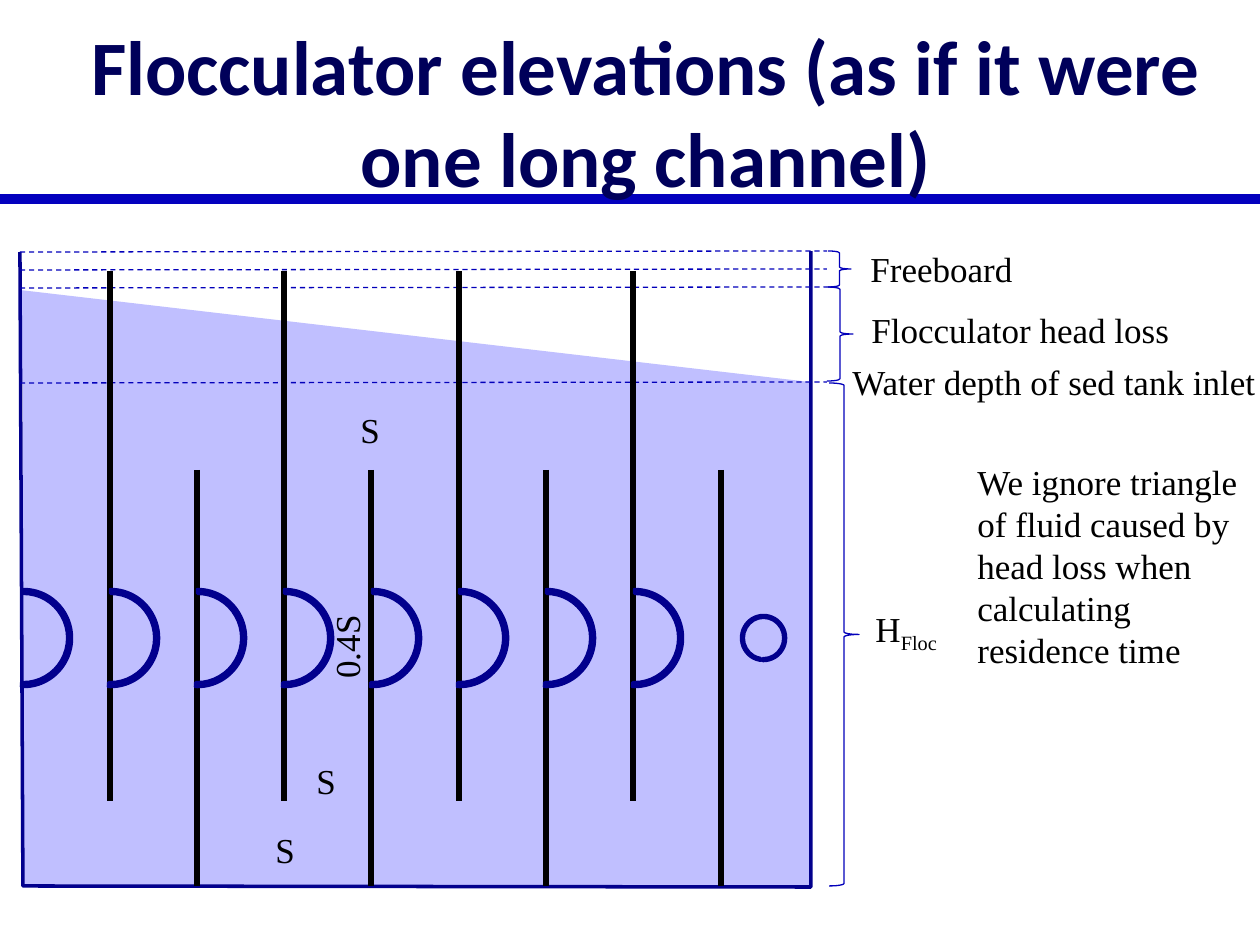
import pptx
import pptx.util
import pptx.dml.color
import pptx.enum.dml
import pptx.enum.shapes
import pptx.enum.text
import pptx.oxml
import pptx.oxml.ns

SCALE = 914400 / 126  # EMU in one px
THEME = {
    "title": "00005A", "text": "000000", "water": "C0BFFF", "wall": "02008D",
    "rule": "0300BE", "level": "0300BA", "baffle": "000000",
    "title_font": "Calibri", "text_font": "Times New Roman",
    "title_size": 44, "text_size": 20,
    "rule_width": 6, "baffle_width": 3, "wall_width": 2, "thin_width": 0.75,
}
KINDS = pptx.enum.shapes.MSO_SHAPE

deck = pptx.Presentation()
deck.slide_width, deck.slide_height = round(1260 * SCALE), round(945 * SCALE)
page = deck.slides.add_slide(deck.slide_layouts[5])


def add_line(start, end, color, width):
    points = [round(value * SCALE) for value in (*start, *end)]
    line = page.shapes.add_connector(pptx.enum.shapes.MSO_CONNECTOR.STRAIGHT, *points)
    line.line.color.rgb = pptx.dml.color.RGBColor.from_string(THEME[color])
    line.line.width = pptx.util.Pt(THEME[width])
    line._element.spPr.append(pptx.oxml.parse_xml(
        f'<a:effectLst {pptx.oxml.ns.nsdecls("a")}/>'))
    return line


def add_shape(kind, area, fill=None, outline=None, width="thin_width"):
    shape = page.shapes.add_shape(kind, *[round(value * SCALE) for value in area])
    shape.shadow.inherit = False
    if fill:
        shape.fill.solid()
        shape.fill.fore_color.rgb = pptx.dml.color.RGBColor.from_string(THEME[fill])
    else:
        shape.fill.background()
    if outline:
        shape.line.color.rgb = pptx.dml.color.RGBColor.from_string(THEME[outline])
        shape.line.width = pptx.util.Pt(THEME[width])
    else:
        shape.line.fill.background()
    return shape


# Title, with the rule behind it
title = page.shapes.title
title.left, title.top, title.width, title.height = [
    round(value * SCALE) for value in (63, 32, 1166, 158)]
title.text_frame.text = "Flocculator elevations (as if it were one long channel)"
title.text_frame.auto_size = pptx.enum.text.MSO_AUTO_SIZE.NONE
title.text_frame.vertical_anchor = pptx.enum.text.MSO_ANCHOR.MIDDLE
para = title.text_frame.paragraphs[0]
para.alignment = pptx.enum.text.PP_ALIGN.CENTER
font = para.runs[0].font
font.name, font.size, font.bold = THEME["title_font"], pptx.util.Pt(THEME["title_size"]), True
font.color.rgb = pptx.dml.color.RGBColor.from_string(THEME["title"])
rule = add_line((0, 199), (1260, 199), "rule", "rule_width")
page.shapes._spTree.insert(2, rule._element)

# Water
add_shape(KINDS.RIGHT_TRIANGLE, (20, 290, 790, 92), "water")
add_shape(KINDS.RECTANGLE, (23, 382, 788, 503), "water")

# Tank walls and floor
corners = [(round(x * SCALE), round(y * SCALE))
           for x, y in [(20, 252), (23, 886), (811, 887), (811, 251)]]
builder = page.shapes.build_freeform(*corners[0])
builder.add_line_segments(corners[1:], close=False)
tank = builder.convert_to_shape()
tank.shadow.inherit = False
tank.fill.background()
tank.line.color.rgb = pptx.dml.color.RGBColor.from_string(THEME["wall"])
tank.line.width = pptx.util.Pt(THEME["wall_width"])

# Water levels
for y in (252, 270, 288, 383):
    level = add_line((20, y), (827, y - 1), "level", "thin_width")
    level.line.dash_style = pptx.enum.dml.MSO_LINE.DASH

# Baffles alternate between hanging and standing; each gap has a half ring
for index in range(8):
    offset = 611 * index // 7
    top, bottom = ((271, 801), (470, 886))[index % 2]
    add_line((110 + offset, top), (110 + offset, bottom), "baffle", "baffle_width")
rings = [((-25 + 611 * index // 7, 590, 97, 96), 108) for index in range(8)]
rings.append(((741, 616, 45, 44), 4.8))
for area, start_angle in rings:
    ring = add_shape(KINDS.BLOCK_ARC, area, "rule", "wall", "wall_width")
    ring.rotation = 90
    for position, value in enumerate((start_angle, 1.43, 0.04)):
        ring.adjustments[position] = value

# Braces for the heights
for area in [(828, 251, 23, 36), (827, 287, 26, 94), (829, 383, 30, 503)]:
    add_shape(KINDS.RIGHT_BRACE, area, outline="level")

# Labels: runs, area, wrap, rotation
labels = [
    (["Water depth of sed tank inlet"], (840, 354, 431, 55), False, 0),
    (["Flocculator head loss"], (859, 302, 325, 55), False, 0),
    (["Freeboard"], (858, 241, 169, 55), False, 0),
    (["H", "Floc"], (863, 601, 108, 55), True, 0),
    (["0.4S"], (302, 619, 89, 55), False, 270),
    (["S"], (263, 822, 45, 55), False, 0),
    (["S"], (304, 753, 45, 55), False, 0),
    (["S"], (348, 402, 45, 55), False, 0),
    (["We ignore triangle of fluid caused by head loss when calculating residence time"],
     (965, 454, 292, 224), True, 0),
]
for texts, area, wrap, rotation in labels:
    box = page.shapes.add_textbox(*[round(value * SCALE) for value in area])
    box.rotation = rotation
    box.text_frame.word_wrap = wrap
    para = box.text_frame.paragraphs[0]
    for index, text in enumerate(texts):
        span = para.add_run()
        span.text = text
        span.font.name = THEME["text_font"]
        span.font.size = pptx.util.Pt(THEME["text_size"])
        span.font.color.rgb = pptx.dml.color.RGBColor.from_string(THEME["text"])
        if index:  # subscript
            span._r.get_or_add_rPr().set("baseline", "-25000")

deck.save("out.pptx")
